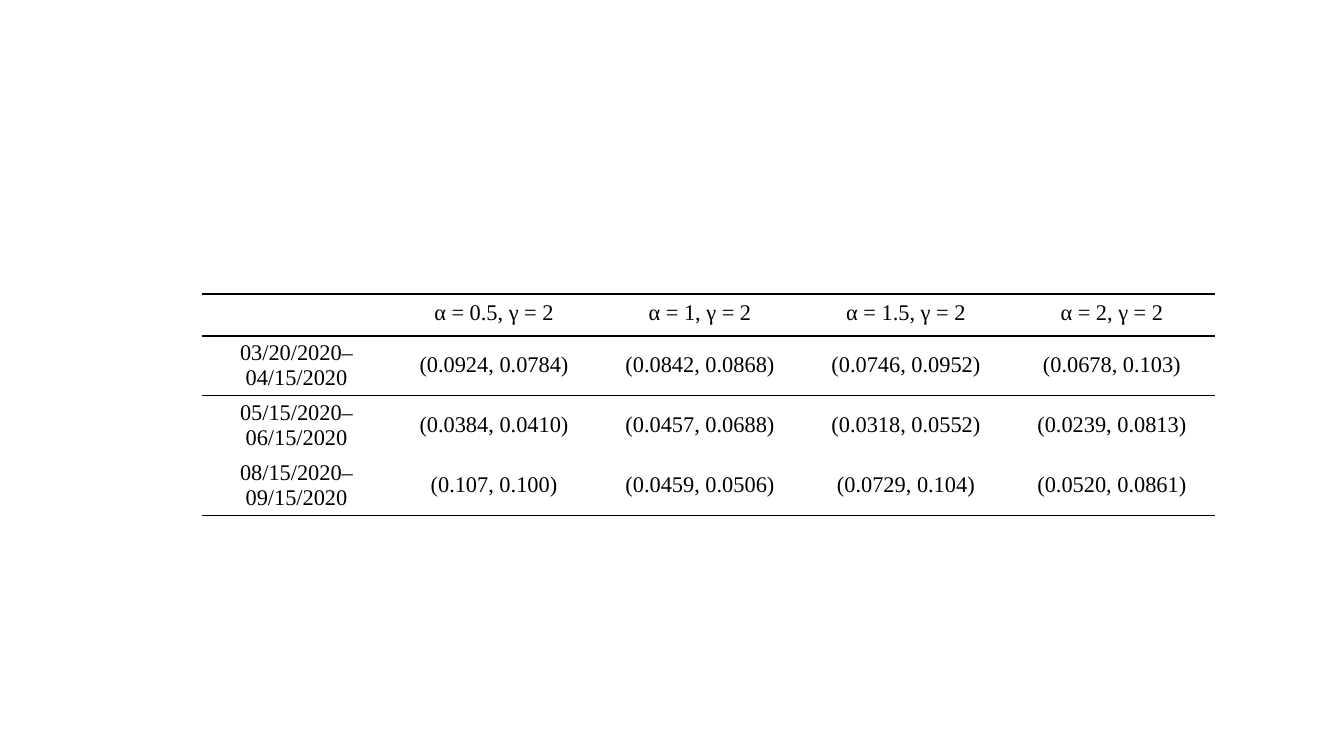
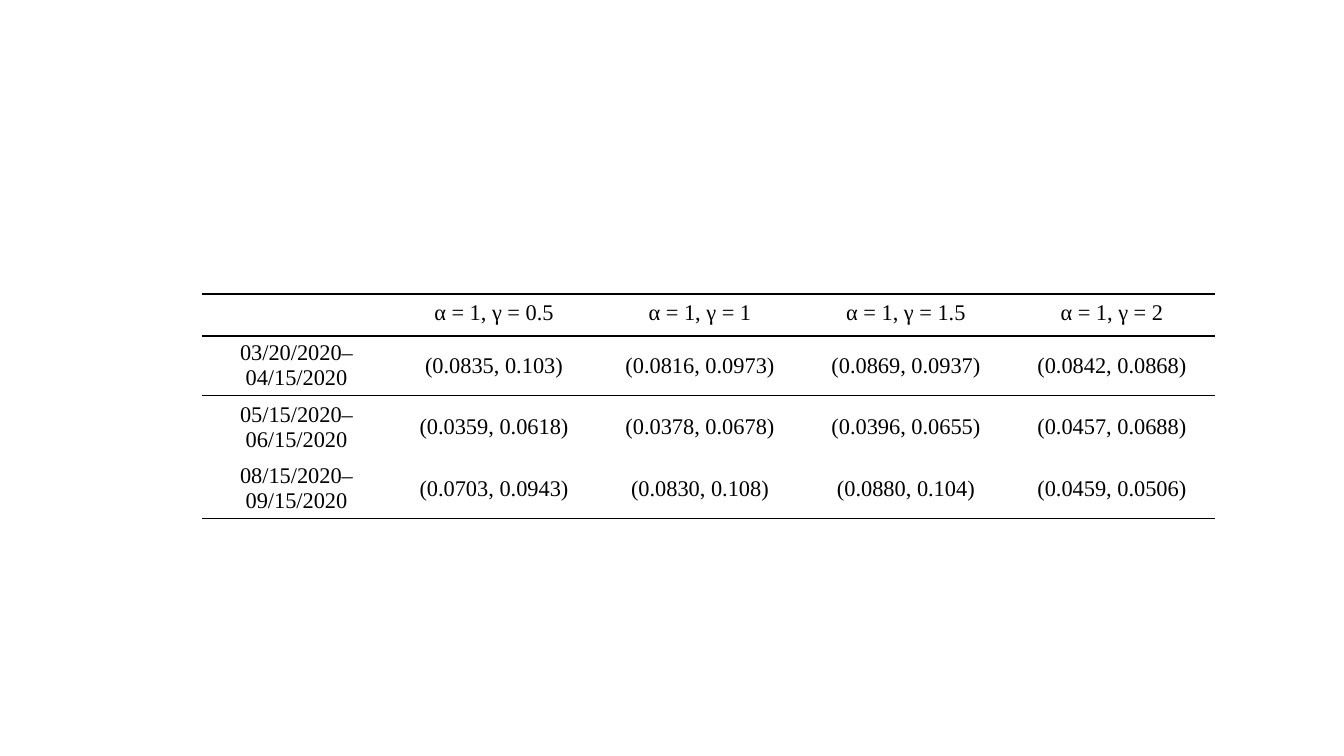
from lxml.etree import SubElement
from pptx import Presentation
from pptx.dml.color import RGBColor
from pptx.enum.text import MSO_ANCHOR, PP_ALIGN
from pptx.oxml.ns import qn
from pptx.util import Emu, Pt

EMU_PER_INCH = 914400
PX_PER_INCH = 100.8
SLIDE_SIZE = (1344, 756)
TABLE_LEFT, TABLE_TOP = 202, 294
COLUMN_WIDTHS = [189] + [206] * 4
HEADER_MARGINS = (1, 1, 1, 5)
BODY_MARGINS = (10, 5, 10, 5)
FONT_NAME = "Times New Roman"
FONT_SIZE = 16
INK = "000000"
RULE_POINTS = 1
PLAIN_TABLE_STYLE = "{2D5ABB26-0587-4C30-8999-92F81FD0307C}"

PERIODS = [
    "03/20/2020–04/15/2020",
    "05/15/2020–06/15/2020",
    "08/15/2020–09/15/2020",
]

ALPHA_HEADERS = ["α = 0.5, γ = 2", "α = 1, γ = 2", "α = 1.5, γ = 2", "α = 2, γ = 2"]
ALPHA_VALUES = [
    ["(0.0924, 0.0784)", "(0.0842, 0.0868)", "(0.0746, 0.0952)", "(0.0678, 0.103)"],
    ["(0.0384, 0.0410)", "(0.0457, 0.0688)", "(0.0318, 0.0552)", "(0.0239, 0.0813)"],
    ["(0.107, 0.100)", "(0.0459, 0.0506)", "(0.0729, 0.104)", "(0.0520, 0.0861)"],
]

GAMMA_HEADERS = ["α = 1, γ = 0.5", "α = 1, γ = 1", "α = 1, γ = 1.5", "α = 1, γ = 2"]
GAMMA_VALUES = [
    ["(0.0835, 0.103)", "(0.0816, 0.0973)", "(0.0869, 0.0937)", "(0.0842, 0.0868)"],
    ["(0.0359, 0.0618)", "(0.0378, 0.0678)", "(0.0396, 0.0655)", "(0.0457, 0.0688)"],
    ["(0.0703, 0.0943)", "(0.0830, 0.108)", "(0.0880, 0.104)", "(0.0459, 0.0506)"],
]


def px(length):
    return Emu(round(length * EMU_PER_INCH / PX_PER_INCH))


def color(hex_value):
    return RGBColor.from_string(hex_value)


def add_rule(cell, side):
    properties = cell._tc.get_or_add_tcPr()
    line = SubElement(properties, qn(f"a:{side}"), w=str(Pt(RULE_POINTS)))
    fill = SubElement(line, qn("a:solidFill"))
    SubElement(fill, qn("a:srgbClr"), val=INK)


def write_cell(cell, text, margins, line_spacing=None):
    cell.vertical_anchor = MSO_ANCHOR.MIDDLE
    cell.margin_left, cell.margin_top, cell.margin_right, cell.margin_bottom = map(px, margins)
    paragraph = cell.text_frame.paragraphs[0]
    paragraph.text = text
    paragraph.alignment = PP_ALIGN.CENTER
    paragraph.line_spacing = line_spacing
    paragraph.font.name = FONT_NAME
    paragraph.font.size = Pt(FONT_SIZE)
    paragraph.font.color.rgb = color(INK)


def add_results_table(slide, headers, values, row_heights, value_spacing=None):
    rows = [["", *headers]] + [[period, *row] for period, row in zip(PERIODS, values)]
    frame = slide.shapes.add_table(
        len(rows), len(COLUMN_WIDTHS), px(TABLE_LEFT), px(TABLE_TOP),
        px(sum(COLUMN_WIDTHS)), px(sum(row_heights)),
    )
    table = frame.table
    table.horz_banding = False
    table.first_row = False
    table._tbl.tblPr.find(qn("a:tableStyleId")).text = PLAIN_TABLE_STYLE
    for column, width in zip(table.columns, COLUMN_WIDTHS):
        column.width = px(width)
    for row, height in zip(table.rows, row_heights):
        row.height = px(height)

    rules = {0: ["lnT", "lnB"], 1: ["lnT"], len(rows) - 1: ["lnB"]}
    for row_index, row in enumerate(rows):
        margins = BODY_MARGINS if row_index else HEADER_MARGINS
        for column_index, text in enumerate(row):
            cell = table.cell(row_index, column_index)
            is_value = row_index > 0 and column_index > 0
            write_cell(cell, text, margins, value_spacing if is_value else None)
            for side in rules.get(row_index, []):
                add_rule(cell, side)
            cell.fill.background()


def main():
    presentation = Presentation()
    presentation.slide_width, presentation.slide_height = map(px, SLIDE_SIZE)
    blank_layout = presentation.slide_layouts[6]

    alpha_slide = presentation.slides.add_slide(blank_layout)
    add_results_table(alpha_slide, ALPHA_HEADERS, ALPHA_VALUES, [42, 42, 42, 42], 0.9)

    gamma_slide = presentation.slides.add_slide(blank_layout)
    add_results_table(gamma_slide, GAMMA_HEADERS, GAMMA_VALUES, [42, 42, 63, 42])

    presentation.save("out.pptx")


if __name__ == "__main__":
    main()
